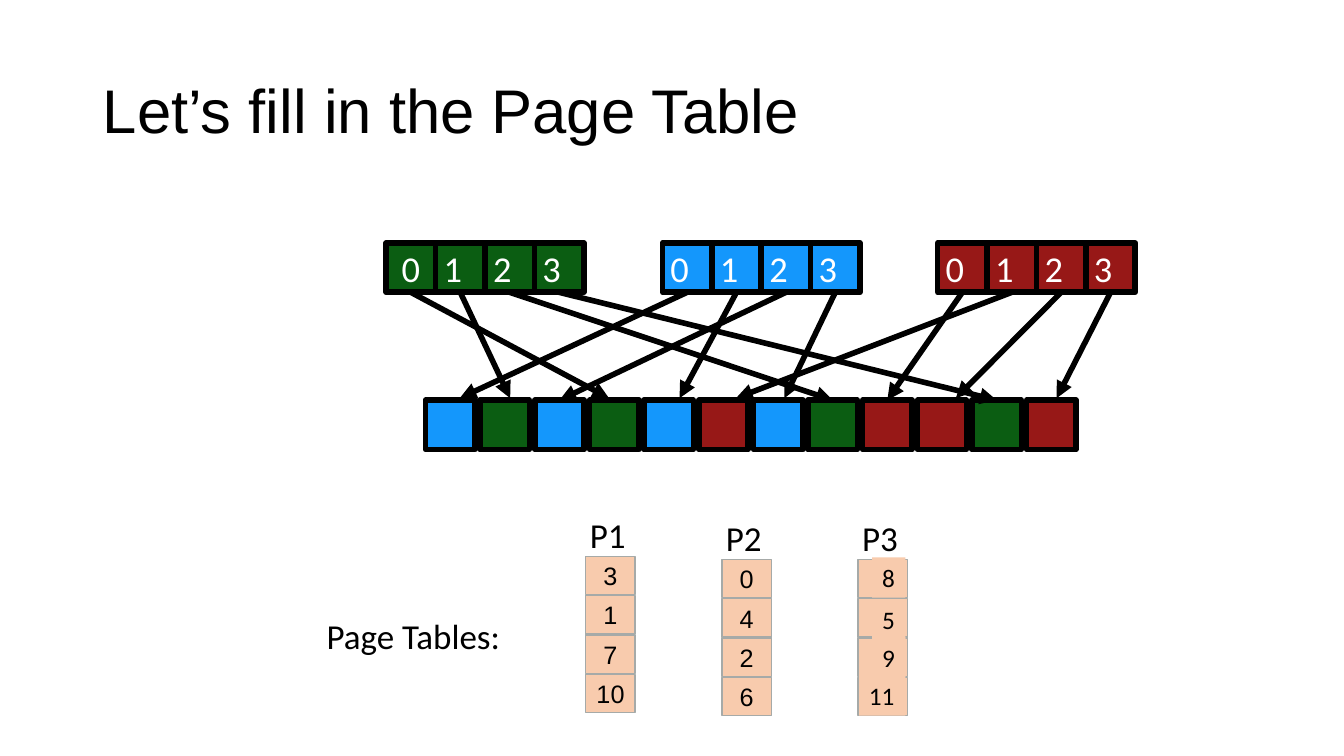
from lxml import etree
from pptx import Presentation
from pptx.dml.color import RGBColor
from pptx.enum.shapes import MSO_CONNECTOR, MSO_SHAPE
from pptx.enum.text import MSO_ANCHOR, PP_ALIGN
from pptx.oxml.ns import qn
from pptx.util import Inches, Pt

RECT = MSO_SHAPE.RECTANGLE
STRAIGHT = MSO_CONNECTOR.STRAIGHT
MIDDLE = MSO_ANCHOR.MIDDLE
LEFT, CENTER = PP_ALIGN.LEFT, PP_ALIGN.CENTER
TOP_SIDE, BOTTOM_SIDE = 0, 2

BLACK = RGBColor(0x00, 0x00, 0x00)
WHITE = RGBColor(0xFF, 0xFF, 0xFF)
GREEN = RGBColor(0x0B, 0x5D, 0x12)
BLUE = RGBColor(0x14, 0x97, 0xFC)
RED = RGBColor(0x97, 0x18, 0x17)
PEACH = RGBColor(0xF8, 0xCB, 0xAD)
GREY = RGBColor(0xA6, 0xAA, 0xA8)

CELL = 0.49
PAGE_TOP = 2.41
FRAME_LEFT, FRAME_TOP, FRAME_PITCH = 4.22, 3.97, 0.542
ARROW_END = 3.95
ENTRY_HEIGHT, ENTRY_PITCH = 0.38, 0.39

# Per process: colour, left of its pages, left and top of its page table,
# and for each page its frame and arrow end (None: middle of the frame)
PROCESSES = {
    "P1": (GREEN, 3.83, 5.81, 5.52, [(3, 6.04), (1, 5.06), (7, None), (10, None)]),
    "P2": (BLUE, 6.57, 7.16, 5.55, [(0, 4.56), (4, 6.74), (2, None), (6, 7.78)]),
    "P3": (RED, 9.3, 8.51, 5.55, [(8, None), (5, 7.3), (9, 9.48), (11, 10.48)]),
}
# Left, top and width of the patches that carry the P3 entries
P3_PATCHES = [(8.65, 5.53, 0.33), (8.65, 5.95, 0.33), (8.65, 6.32, 0.33), (8.52, 6.7, 0.46)]


def write(sp, text, size=18, font="Arial", color=BLACK, align=LEFT, anchor=MIDDLE,
          insets=(0, 0), wrap=True, spacing=None):
    """Insets are (left and right, top and bottom) in inches."""
    tf = sp.text_frame
    tf.word_wrap = wrap
    tf.vertical_anchor = anchor
    tf.margin_left = tf.margin_right = Inches(insets[0])
    tf.margin_top = tf.margin_bottom = Inches(insets[1])
    p = tf.paragraphs[0]
    p.alignment = align
    p.line_spacing = spacing
    r = p.add_run()
    r.text = text
    r.font.size = Pt(size)
    r.font.name = font
    r.font.color.rgb = color


class PageTableSlide:
    def __init__(self, prs):
        self.s = prs.slides.add_slide(prs.slide_layouts[5])

    def title(self, text):
        sp = self.s.shapes.title
        sp.left, sp.top = Inches(0.92), Inches(0.4)
        sp.width, sp.height = Inches(11.5), Inches(1.45)
        write(sp, text, size=44, insets=(0.1, 0.05), spacing=0.9)

    def rect(self, left, top, width, height, fill, line=None, weight=1):
        sp = self.s.shapes.add_shape(RECT, Inches(left), Inches(top), Inches(width), Inches(height))
        sp.shadow.inherit = False
        sp.fill.solid()
        sp.fill.fore_color.rgb = fill
        if line is None:
            sp.line.fill.background()
        else:
            sp.line.color.rgb = line
            sp.line.width = Pt(weight)
        return sp

    def square(self, left, top, fill):
        return self.rect(left, top, CELL, CELL, fill, BLACK, 4)

    def label(self, left, top, width, text):
        sp = self.s.shapes.add_textbox(Inches(left), Inches(top), Inches(width), Inches(0.5))
        write(sp, text, size=25, font="Calibri", insets=(0.04, 0.04), wrap=False)

    def arrow(self, page, frame, end_x):
        c = self.s.shapes.add_connector(STRAIGHT, 0, 0, Inches(end_x or 0), Inches(ARROW_END))
        c.begin_connect(page, BOTTOM_SIDE)
        if end_x is None:
            c.end_connect(frame, TOP_SIDE)
        c.line.color.rgb = BLACK
        c.line.width = Pt(4)
        ln = c.line._get_or_add_ln()
        etree.SubElement(ln, qn("a:tailEnd"), type="triangle")
        etree.SubElement(c._element.spPr, qn("a:effectLst"))


def main():
    prs = Presentation()
    prs.slide_width, prs.slide_height = Inches(13.33), Inches(7.5)
    slide = PageTableSlide(prs)
    slide.title("Let’s fill in the Page Table")

    # Pages of each process and the memory frames they map to
    links = []
    for color, page_left, _, _, mapping in PROCESSES.values():
        for i, (frame_no, end_x) in enumerate(mapping):
            page = slide.square(page_left + i * CELL, PAGE_TOP, color)
            centred = page_left == 3.83 and i == 0
            write(page, str(i), size=26, font="Calibri", color=WHITE,
                  align=CENTER if centred else LEFT, insets=(0 if centred else 0.08, 0))
            frame = slide.square(FRAME_LEFT + frame_no * FRAME_PITCH, FRAME_TOP, color)
            links.append((page, frame, end_x))

    # Mapping arrows
    for link in links:
        slide.arrow(*link)

    # Page tables
    slide.label(3.2, 6.05, 1.82, "Page Tables:")
    for name, (_, _, left, top, mapping) in PROCESSES.items():
        slide.label(left, top - 0.47, 0.44, name)
        for i, (frame_no, _) in enumerate(mapping):
            entry = slide.rect(left, top + i * ENTRY_PITCH, CELL, ENTRY_HEIGHT, PEACH, GREY)
            if name != "P3":
                write(entry, str(frame_no), align=CENTER)

    # Entries of the P3 table
    for (left, top, width), (frame_no, _) in zip(P3_PATCHES, PROCESSES["P3"][-1]):
        patch = slide.rect(left, top, width, 0.4, PEACH)
        write(patch, str(frame_no), font="Calibri", insets=(0.1, 0.05), wrap=False)

    prs.save("out.pptx")


if __name__ == "__main__":
    main()
